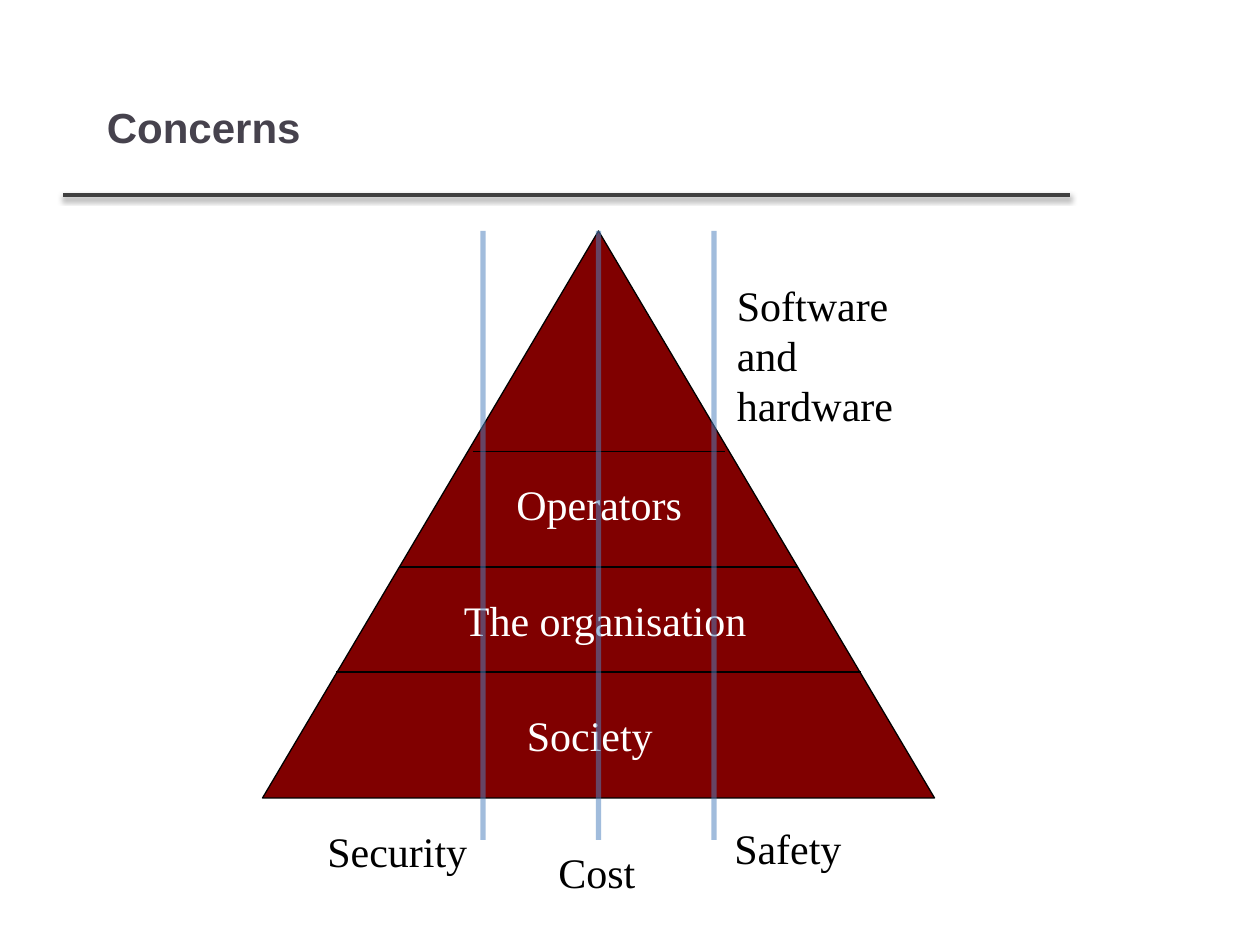
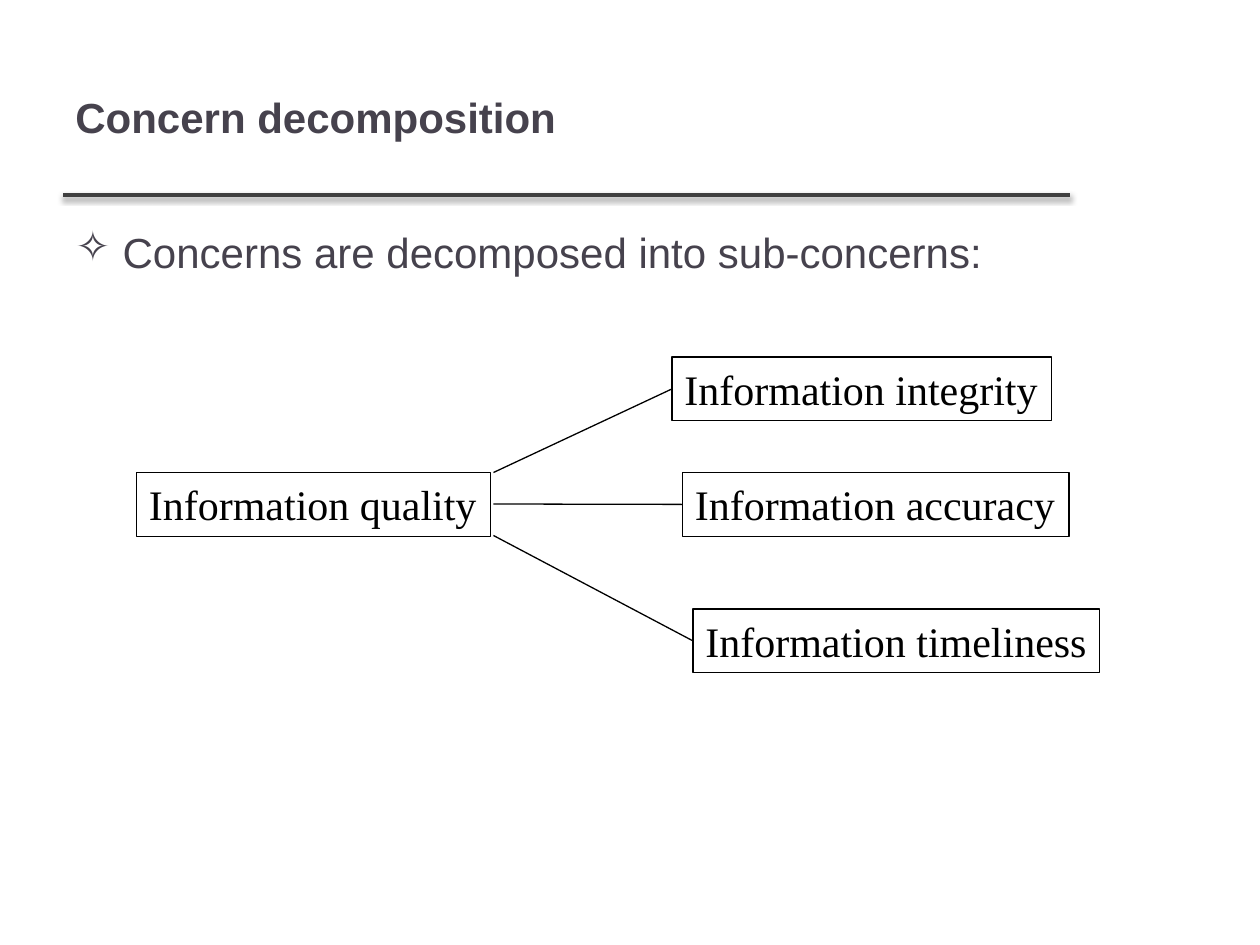
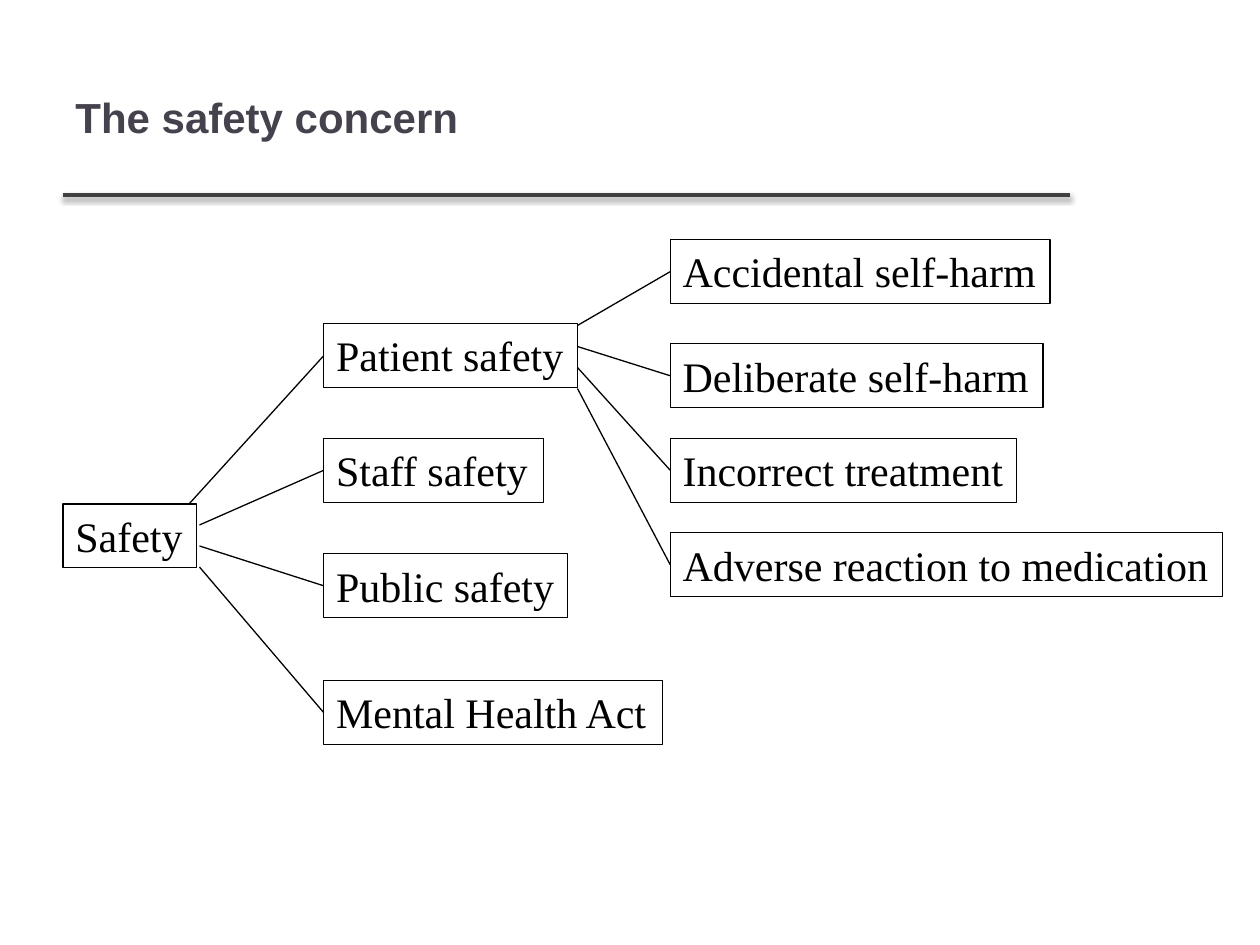
from lxml.etree import SubElement
from pptx import Presentation
from pptx.dml.color import RGBColor
from pptx.enum.shapes import MSO_CONNECTOR as CONN, MSO_SHAPE as SHAPE
from pptx.enum.text import MSO_ANCHOR as ANCHOR, MSO_AUTO_SIZE as FIT, PP_ALIGN as ALIGN
from pptx.oxml.ns import qn
from pptx.util import Pt

BLACK = RGBColor(0x00, 0x00, 0x00)
WHITE = RGBColor(0xFF, 0xFF, 0xFF)
INK = RGBColor(0x46, 0x42, 0x4D)
RULE = RGBColor(0x40, 0x40, 0x40)
MAROON = RGBColor(0x80, 0x00, 0x00)
BLUE = RGBColor(0x4F, 0x81, 0xBD)
SANS, SERIF = "Arial", "Times New Roman"

TITLE_BOX = (36, 21.6, 574.5, 90)
BOX_HEIGHT = 36.5
GRID = 6

PYRAMID = (150, 132, 384, 324)
LEVEL_LINES = [258, 324, 384]
CONCERN_LINES = [276, 342, 408]
CONCERN_LINE_END = 480
LABELS = [
    ("Software and hardware", (414, 156, 133, 93.5), BLACK, True),
    ("Operators", (288, 270, 109.5, 36), WHITE, False),
    ("Society", (294, 402, 87, 36), WHITE, False),
    ("The organisation", (258, 336, 176.5, 36), WHITE, False),
    ("Safety", (412.5, 466.5, 75.5, 36), BLACK, False),
    ("Cost", (312, 480, 58.5, 36), BLACK, False),
    ("Security", (180, 468, 94.5, 36), BLACK, False),
]

QUALITY = ("Information quality", 78, 270, 202.5)
QUALITY_PARTS = [
    ("Information integrity", 384, 204, 217),
    ("Information accuracy", 390, 270, 221),
    ("Information timeliness", 396, 348, 232.5),
]
QUALITY_STARTS = [(282, 270), (282, 288), (282, 306)]

SAFETY = ("Safety", 36, 288, 76.5)
SAFETY_PARTS = [
    ("Patient safety", 185, 185, 145),
    ("Staff safety", 185, 250.5, 125.5),
    ("Public safety", 185, 316.5, 139.5),
    ("Mental Health Act", 185, 389, 193.5),
]
SAFETY_STARTS = [(108, 288), (114, 300), (114, 312), (114, 324)]
PATIENT_PARTS = [
    ("Accidental self-harm", 383, 137, 217),
    ("Deliberate self-harm", 383, 196.5, 213),
    ("Incorrect treatment", 383, 250.5, 198),
    ("Adverse reaction to medication", 383, 304.5, 315.5),
]
PATIENT_STARTS = [(330, 186 + 12 * i) for i in range(len(PATIENT_PARTS))]


def write(sp, text, font=SERIF, color=BLACK, bold=False, wrap=False,
          anchor=ANCHOR.TOP, fit=FIT.SHAPE_TO_FIT_TEXT):
    tf = sp.text_frame
    tf.word_wrap = wrap
    tf.auto_size = fit
    tf.vertical_anchor = anchor
    p = tf.paragraphs[0]
    p.alignment = ALIGN.LEFT
    r = p.add_run()
    r.text = text
    r.font.name = font
    r.font.size = Pt(24)
    r.font.bold = bold
    r.font.color.rgb = color
    return p


def add_text(s, text, box, **fmt):
    return write(s.shapes.add_textbox(*map(Pt, box)), text, **fmt)


def add_line(s, start, end, color=BLACK, width=0.75):
    line = s.shapes.add_connector(CONN.STRAIGHT, *map(Pt, start + end))
    line.line.color.rgb = color
    line.line.width = Pt(width)
    effects = SubElement(line._element.spPr, qn("a:effectLst"))
    return line, effects


def add_alpha(color, percent):
    SubElement(color, qn("a:alpha"), val=str(percent * 1000))


def add_slide(prs, title, box=TITLE_BOX):
    s = prs.slides.add_slide(prs.slide_layouts[6])
    _, effects = add_line(s, (36, 111.5), (611.5, 111.5), RULE, 2)
    shadow = SubElement(effects, qn("a:outerShdw"), blurRad=str(Pt(3.1)),
                        dist=str(Pt(1.6)), dir="5400000", rotWithShape="0")
    add_alpha(SubElement(shadow, qn("a:srgbClr"), val=str(BLACK)), 38)
    add_text(s, title, box, font=SANS, color=INK, bold=True, wrap=True,
             anchor=ANCHOR.MIDDLE, fit=FIT.NONE)
    return s


def add_box(s, text, left, top, width):
    sp = s.shapes.add_shape(SHAPE.RECTANGLE, Pt(left), Pt(top), Pt(width), Pt(BOX_HEIGHT))
    sp.shadow.inherit = False
    sp.fill.background()
    sp.line.color.rgb = BLACK
    sp.line.width = Pt(0.75)
    write(sp, text)
    return sp


def add_branches(s, starts, parts):
    for start, part in zip(starts, parts):
        sp = add_box(s, *part)
        line, _ = add_line(s, start, part[1:3])
        line.end_connect(sp, 1)


def concerns_slide(prs):
    s = add_slide(prs, "Concerns", (54, 27, 580.5, 91))
    left, top, width, height = PYRAMID
    pyramid = s.shapes.add_shape(SHAPE.ISOSCELES_TRIANGLE, *map(Pt, PYRAMID))
    pyramid.shadow.inherit = False
    pyramid.fill.solid()
    pyramid.fill.fore_color.rgb = MAROON
    pyramid.line.color.rgb = BLACK
    pyramid.line.width = Pt(0.75)
    center = left + width / 2
    for y in LEVEL_LINES:
        half = round(width / 2 * (y - top) / height / GRID) * GRID
        add_line(s, (center - half, y), (center + half, y))
    for text, box, color, wrap in LABELS:
        add_text(s, text, box, color=color, wrap=wrap)
    for x in CONCERN_LINES:
        line, _ = add_line(s, (x, top), (x, CONCERN_LINE_END), BLUE, 3)
        add_alpha(line._element.spPr.find(".//" + qn("a:srgbClr")), 52)


def decomposition_slide(prs):
    s = add_slide(prs, "Concern decomposition")
    p = add_text(s, "Concerns are decomposed into sub-concerns:", (36, 126, 648, 356.5),
                 font=SANS, color=INK, wrap=True, fit=FIT.NONE)
    p.space_before = p.space_after = Pt(6)
    props = p._p.get_or_add_pPr()
    props.set("marL", str(Pt(27)))
    props.set("indent", str(Pt(-27)))
    SubElement(props, qn("a:buChar"), char="✧")
    add_box(s, *QUALITY)
    add_branches(s, QUALITY_STARTS, QUALITY_PARTS)


def safety_slide(prs):
    s = add_slide(prs, "The safety concern")
    add_box(s, *SAFETY)
    add_branches(s, SAFETY_STARTS, SAFETY_PARTS)
    add_branches(s, PATIENT_STARTS, PATIENT_PARTS)


def main():
    prs = Presentation()
    prs.slide_width, prs.slide_height = Pt(720), Pt(540)
    concerns_slide(prs)
    decomposition_slide(prs)
    safety_slide(prs)
    prs.save("out.pptx")


if __name__ == "__main__":
    main()
